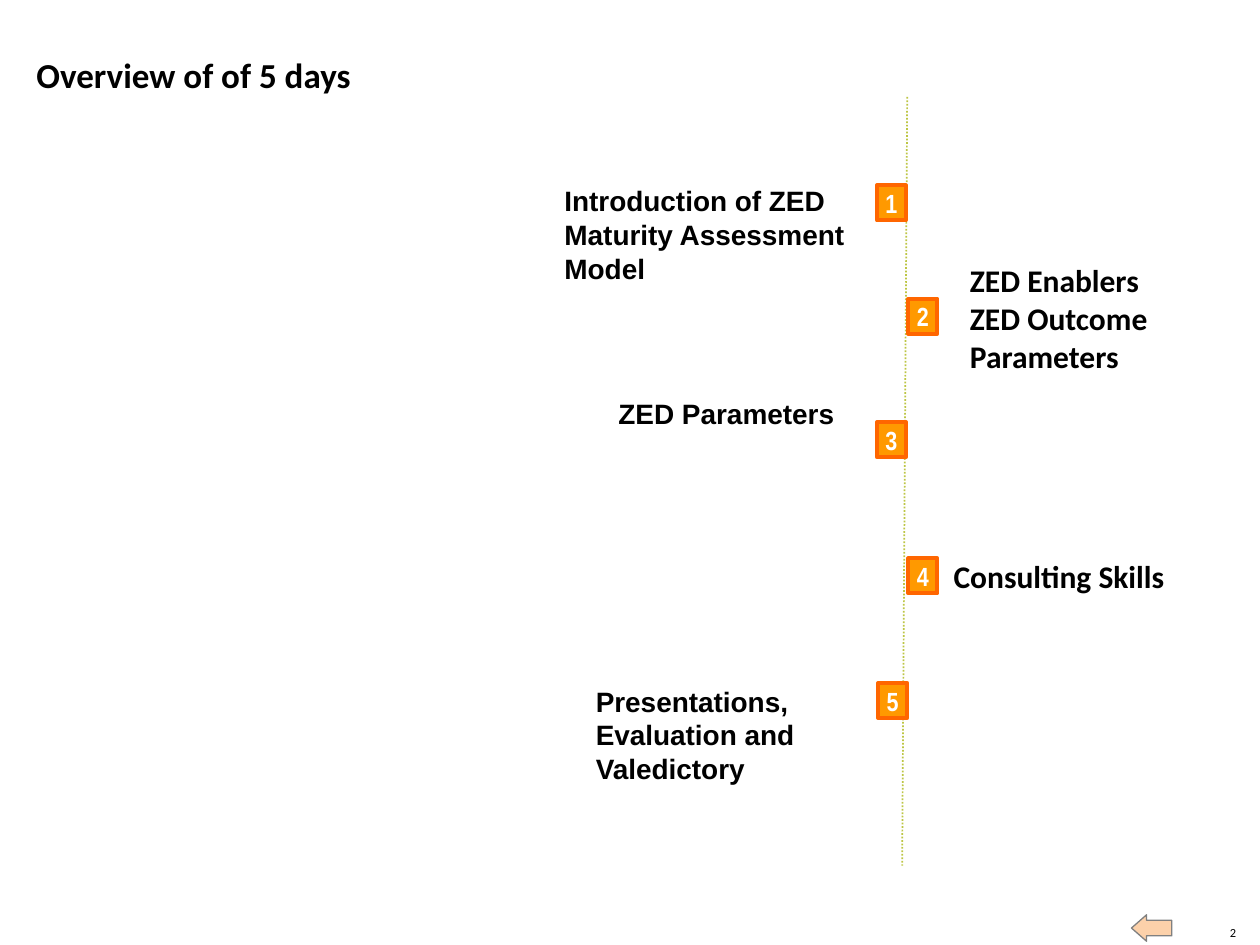
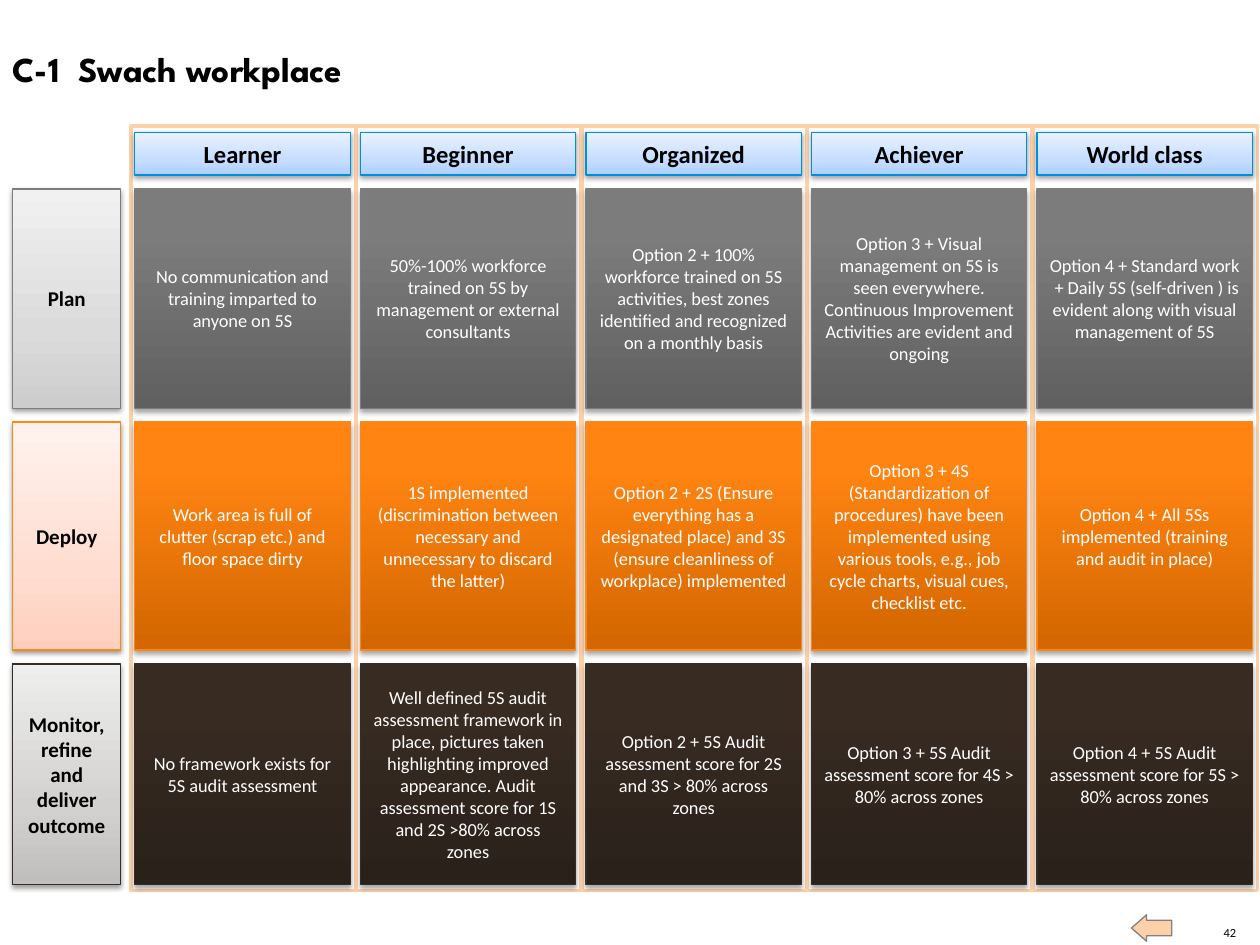
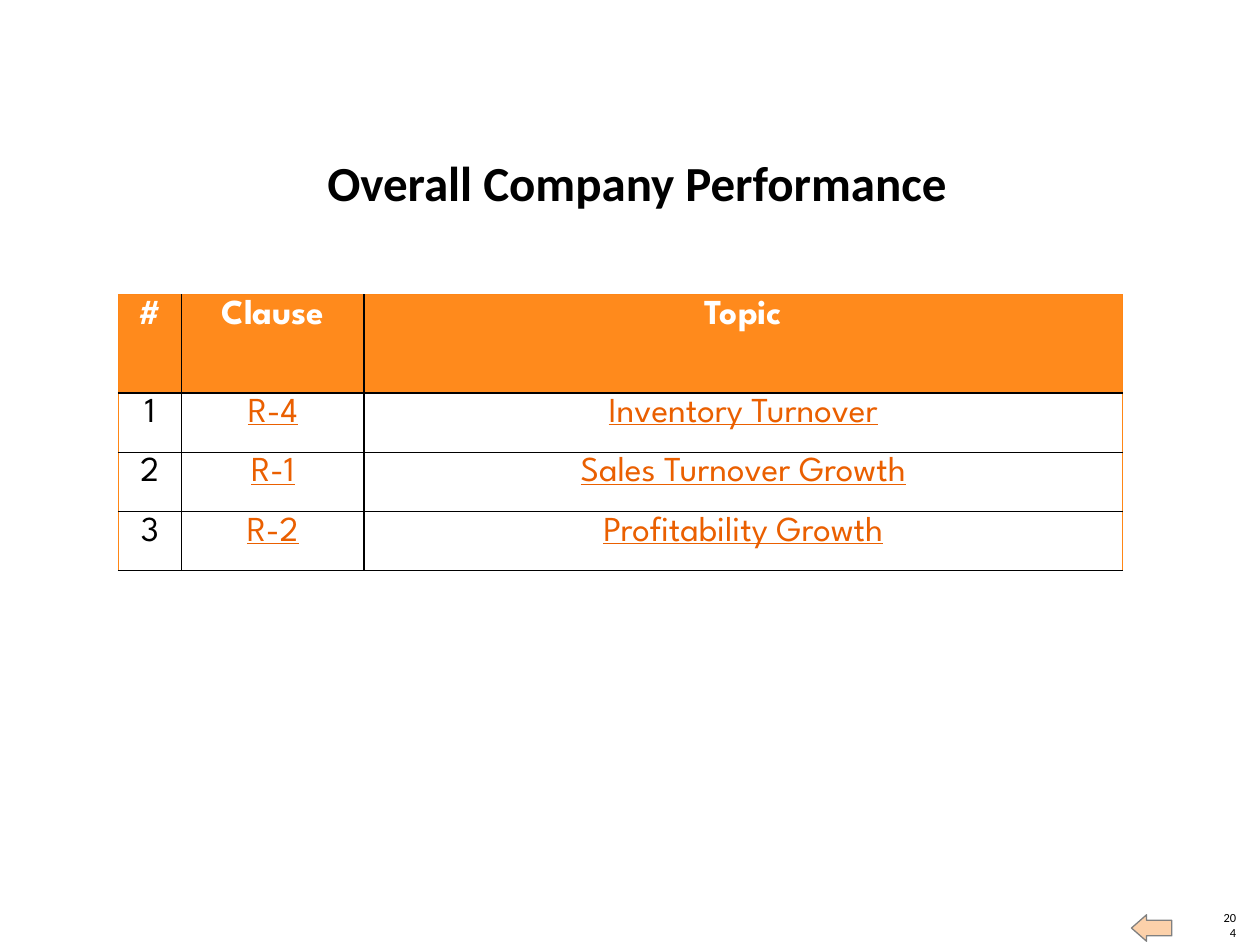
"""Build three training slides: the five-day overview, a maturity grid and a clause list."""
from lxml.etree import SubElement
from pptx import Presentation
from pptx.dml.color import RGBColor
from pptx.enum.dml import MSO_LINE
from pptx.enum.shapes import MSO_CONNECTOR, MSO_SHAPE
from pptx.enum.text import MSO_ANCHOR, PP_ALIGN
from pptx.oxml.ns import qn
from pptx.util import Emu, Inches, Pt

COLORS = {
    "black": "000000", "white": "FFFFFF", "peach": "FCD1AA", "arrow_edge": "808080",
    "timeline": "BDC644", "badge": "FF9900", "badge_edge": "FF6600", "header": "FF8A1C",
    "link": "EA5F00", "plan": "7D7D7D", "deploy": "FF8615", "monitor": "352C25",
    "level": "008FDC",
}
GRADIENTS = {
    "plan_label": ((0, "CDCDCD"), (35, "DBDBDB"), (100, "F1F1F1")),
    "deploy_label": ((0, "FFCFBD"), (35, "FFDDD1"), (100, "FFF2EE")),
    "monitor_label": ((0, "C0BEBC"), (35, "D3D1D0"), (100, "EEEEED")),
    "plan": ((0, "606060"), (80, "7C7C7C"), (100, "7D7D7D")),
    "deploy": ((0, "D26600"), (80, "FF8412"), (100, "FF8514")),
    "monitor": ((0, "2A211B"), (80, "372B22"), (100, "372B22")),
    "level": ((0, "AECFFF"), (35, "C6DDFF"), (100, "E9F2FF")),
}
CELL = Inches(0.1)
COLUMNS, ROWS = 100, 75
BODY, DISPLAY = "Calibri", "League Spartan"
LEFT, CENTER, RIGHT = PP_ALIGN.LEFT, PP_ALIGN.CENTER, PP_ALIGN.RIGHT
TOP, MIDDLE, BOTTOM = MSO_ANCHOR.TOP, MSO_ANCHOR.MIDDLE, MSO_ANCHOR.BOTTOM


def grid(*lengths):
    """Turn grid columns or rows into slide lengths."""
    return [Emu(round(length * CELL)) for length in lengths]


def rgb(name):
    """Look up a named colour."""
    return RGBColor.from_string(COLORS[name])


def write(frame, text, size=16, font=BODY, color="black", bold=True, underline=False,
          align=LEFT, anchor=TOP, insets=(1, 0.5, 1, 0.5), wrap=True):
    """Put one paragraph per line of text into a frame."""
    frame.word_wrap = wrap
    frame.vertical_anchor = anchor
    (frame.margin_left, frame.margin_top,
     frame.margin_right, frame.margin_bottom) = grid(*insets)
    for index, line in enumerate(text.split("\n")):
        paragraph = frame.add_paragraph() if index else frame.paragraphs[0]
        paragraph.alignment = align
        run = paragraph.add_run()
        run.text = line
        run.font.size, run.font.name = Pt(size), font
        run.font.bold, run.font.underline = bold, underline
        run.font.color.rgb = rgb(color)


class Deck:
    """Hold the shared style and the slide being built."""

    def __init__(self):
        """Start an empty deck on the grid."""
        self.presentation = Presentation()
        self.presentation.slide_width = COLUMNS * CELL
        self.presentation.slide_height = ROWS * CELL
        self.slide = None

    def page(self, number):
        """Add a slide with its page number and back arrow."""
        self.slide = self.presentation.slides.add_slide(self.presentation.slide_layouts[6])
        self.text((96.9, 73.4, 1.2, 1.2), number, size=7.1, bold=False, align=RIGHT,
                  anchor=BOTTOM, insets=(0, 0, 0, 0))
        back = self.shape((89.8, 72.6, 3.2, 2.1), "peach", "arrow_edge",
                          kind=MSO_SHAPE.RIGHT_ARROW)
        back.rotation = 180
        back.adjustments[0], back.adjustments[1] = 0.59, 0.57

    def text(self, place, words, **style):
        """Add a text box."""
        write(self.slide.shapes.add_textbox(*grid(*place)).text_frame, words, **style)

    def title(self, place, words, **style):
        """Add a slide title."""
        self.text(place, words, anchor=BOTTOM, insets=(1, 0, 0, 0), **style)

    def shape(self, place, fill, edge, edge_width=0.75, kind=MSO_SHAPE.RECTANGLE):
        """Add a flat preset shape."""
        shape = self.slide.shapes.add_shape(kind, *grid(*place))
        shape.shadow.inherit = False
        shape.fill.solid()
        shape.fill.fore_color.rgb = rgb(fill)
        shape.line.color.rgb = rgb(edge)
        shape.line.width = Pt(edge_width)
        return shape

    def badge(self, place, day):
        """Add a numbered day marker."""
        marker = self.shape(place, "badge", "badge_edge", 2.25)
        write(marker.text_frame, day, size=15, font="Arial Narrow", color="white",
              align=CENTER, anchor=MIDDLE, wrap=False)

    def card(self, place, words, gradient, edge, opacity=38, distance=1.6, **style):
        """Add a shaded box with a soft shadow."""
        card = self.shape(place, "white", edge)
        card.fill.gradient()
        card.fill.gradient_angle = 90
        properties = card.element.spPr
        stops = properties.find(qn("a:gradFill")).find(qn("a:gsLst"))
        for stop in list(stops):
            stops.remove(stop)
        for position, color in GRADIENTS[gradient]:
            stop = SubElement(stops, qn("a:gs"), pos=str(position * 1000))
            SubElement(stop, qn("a:srgbClr"), val=color)
        shadow = SubElement(properties.find(qn("a:effectLst")), qn("a:outerShdw"),
                            blurRad=str(Pt(3.1)), dist=str(Pt(distance)),
                            dir="5400000", rotWithShape="0")
        tint = SubElement(shadow, qn("a:srgbClr"), val=COLORS["black"])
        SubElement(tint, qn("a:alpha"), val=str(opacity * 1000))
        write(card.text_frame, words, align=CENTER, anchor=MIDDLE, **style)

    def dotted_line(self, start, end, color):
        """Add a dotted straight line."""
        line = self.slide.shapes.add_connector(MSO_CONNECTOR.STRAIGHT,
                                               *grid(*start), *grid(*end))
        line.line.color.rgb = rgb(color)
        line.line.width = Pt(1)
        line.line.dash_style = MSO_LINE.ROUND_DOT
        SubElement(line.element.spPr, qn("a:effectLst"))

    def table(self, place, widths, heights, rows):
        """Add a ruled table with a filled header row and link-styled entries."""
        table = self.slide.shapes.add_table(len(rows), len(widths), *grid(*place)).table
        for column, width in zip(table.columns, grid(*widths)):
            column.width = width
        for row, height in zip(table.rows, grid(*heights)):
            row.height = height
        last = len(widths) - 1
        for r, entries in enumerate(rows):
            for c, entry in enumerate(entries):
                cell = table.cell(r, c)
                link = r > 0 and c > 0
                color = "white" if r == 0 else "link" if link else "black"
                write(cell.text_frame, entry, size=20, font=DISPLAY, color=color,
                      bold=r == 0, underline=link, align=CENTER)
                cell.margin_left, cell.margin_right = grid(0.7, 0.7)
                cell.margin_top, cell.margin_bottom = grid(0.4, 0.4)
                if r == 0:
                    cell.fill.solid()
                    cell.fill.fore_color.rgb = rgb("header")
                else:
                    cell.fill.background()
                self.borders(cell, {"L": c == 0, "R": c == last, "T": r == 0, "B": False})

    def borders(self, cell, outer_sides):
        """Draw outer sides in orange and the others in black."""
        properties = cell._tc.get_or_add_tcPr()
        for index, (side, outer) in enumerate(outer_sides.items()):
            border = SubElement(properties, qn("a:ln" + side),
                                w=str(Pt(0.75 if outer else 1)))
            fill = SubElement(border, qn("a:solidFill"))
            SubElement(fill, qn("a:srgbClr"), val=COLORS["deploy" if outer else "black"])
            properties.insert(index, border)


def build_overview(deck):
    """Build the five-day timeline."""
    deck.page("2")
    deck.title((1.9, 4.2, 76.5, 3.4), "Overview of of 5 days", size=20)
    deck.dotted_line((72, 7.7), (71.6, 68.7), "timeline")
    badges = ((69.6, 14.7), (72.1, 23.7), (69.6, 33.5), (72.1, 44.3), (69.7, 54.2))
    for day, corner in enumerate(badges, 1):
        deck.badge((*corner, 2.3, 2.8), str(day))
    deck.text((44.8, 14.6, 23.8, 8.1), "Introduction of ZED Maturity Assessment Model",
              font="Arial", insets=(0, 0, 0, 0))
    deck.text((48.1, 31, 26.2, 3.7), "ZED Parameters", font="Arial")
    deck.text((46.3, 53.8, 26.2, 9.1), "Presentations, Evaluation and Valedictory",
              font="Arial")
    deck.text((76, 22.1, 23.3, 6.3), "ZED Enablers\nZED Outcome Parameters",
              size=18, anchor=MIDDLE)
    deck.text((74.7, 41.8, 23.3, 7.8), "Consulting Skills", size=18, anchor=MIDDLE)


def build_maturity_grid(deck):
    """Build the grid of maturity levels by stage."""
    levels = ("Learner", "Beginner", "Organized", "Achiever", "World class")
    stages = (
        ("plan", "Plan", 15, 17.4, (
            "No communication and training imparted to anyone on 5S",
            "50%-100% workforce trained on 5S by management or external consultants",
            "Option 2 + 100% workforce trained on 5S activities, best zones identified "
            "and recognized on a monthly basis",
            "Option 3 + Visual management on 5S is seen everywhere. Continuous "
            "Improvement Activities are evident and ongoing",
            "Option 4 + Standard work  + Daily 5S (self-driven ) is evident along with "
            "visual management of 5S")),
        ("deploy", "Deploy", 33.5, 18.1, (
            "Work area is full of clutter (scrap etc.) and floor space dirty",
            "1S implemented (discrimination between necessary and unnecessary to "
            "discard the latter)",
            "Option 2 + 2S (Ensure everything has a designated place) and 3S (ensure "
            "cleanliness of workplace) implemented",
            "Option 3 + 4S (Standardization of procedures) have been implemented using "
            "various tools, e.g., job cycle charts, visual cues, checklist etc.",
            "Option 4 + All 5Ss implemented (training and audit in place)")),
        ("monitor", "Monitor, refine and deliver outcome", 52.7, 17.5, (
            "No framework exists for 5S audit assessment",
            "Well defined 5S audit assessment framework in place, pictures taken "
            "highlighting improved appearance. Audit assessment score for 1S and 2S "
            ">80% across zones",
            "Option 2 + 5S Audit assessment score for 2S and 3S > 80% across zones",
            "Option 3 + 5S Audit assessment score for 4S > 80% across zones",
            "Option 4 + 5S Audit assessment score for 5S > 80% across zones")),
    )
    pitch, frame_left, card_left, card_width = 17.9, 10.4, 10.7, 17.1
    deck.page("42")
    deck.text((0, 3.3, 86, 4.4), "C-1  Swach workplace", size=20, font=DISPLAY)
    for column, level in enumerate(levels):
        deck.shape((frame_left + column * pitch, 10, 17.8, 60.7), "white", "peach", 2)
        deck.card((card_left + column * pitch, 10.5, card_width, 3.4), level,
                  "level", "level", size=14)
    for stage, label, top, height, criteria in stages:
        deck.card((1, top, 8.6, height), label, stage + "_label", stage, size=12)
        for column, criterion in enumerate(criteria):
            deck.card((card_left + column * pitch, top, card_width, height), criterion,
                      stage, stage, opacity=35, distance=1.8, size=10.5,
                      color="white", bold=False)


def build_performance(deck):
    """Build the list of performance clauses."""
    deck.page("204")
    deck.title((11.8, 12.1, 76.5, 4.7), "Overall Company Performance", size=28, align=CENTER)
    deck.table((9.4, 23.4, 79.7, 21.9), (5, 14.5, 60.2), (7.8, 4.7, 4.7, 4.7), (
        ("#", "Clause", "Topic"),
        ("1", "R-4", "Inventory Turnover"),
        ("2", "R-1", "Sales Turnover Growth"),
        ("3", "R-2", "Profitability Growth"),
    ))


def main():
    """Build and save the deck."""
    deck = Deck()
    build_overview(deck)
    build_maturity_grid(deck)
    build_performance(deck)
    deck.presentation.save("out.pptx")


if __name__ == "__main__":
    main()
